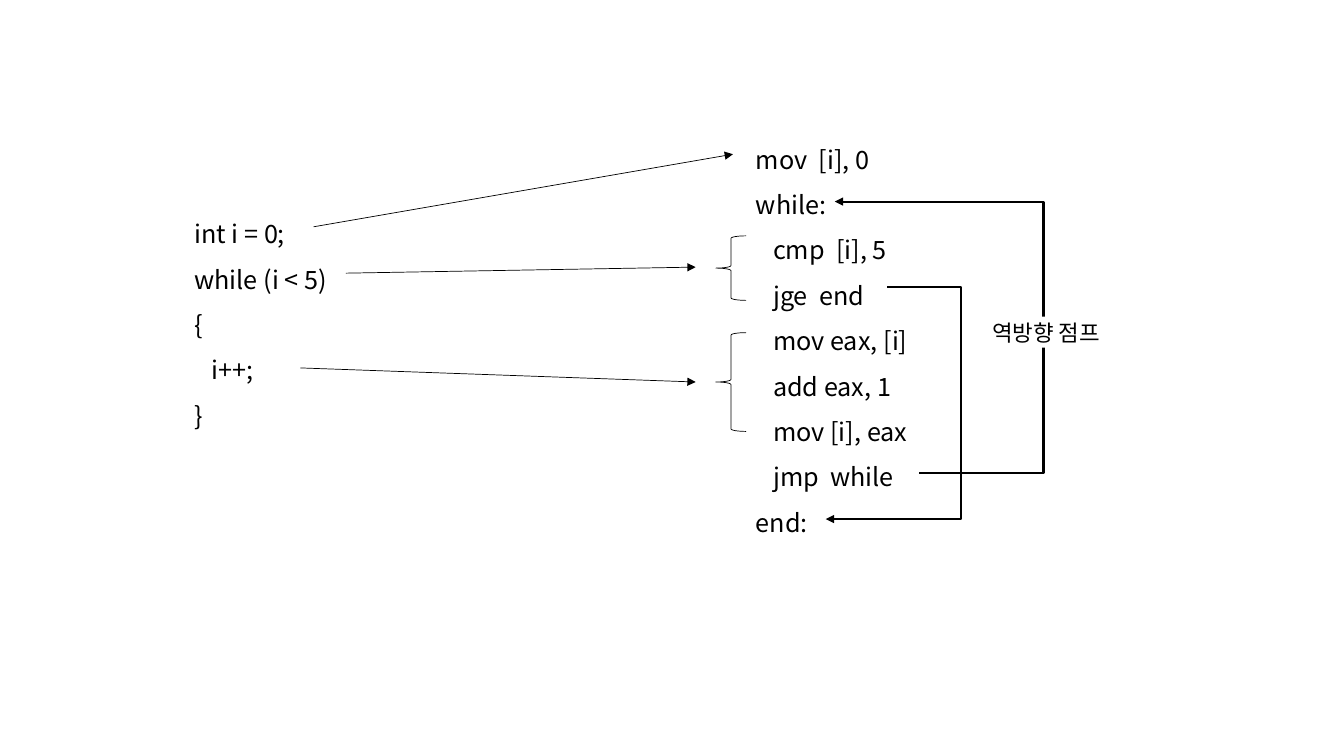
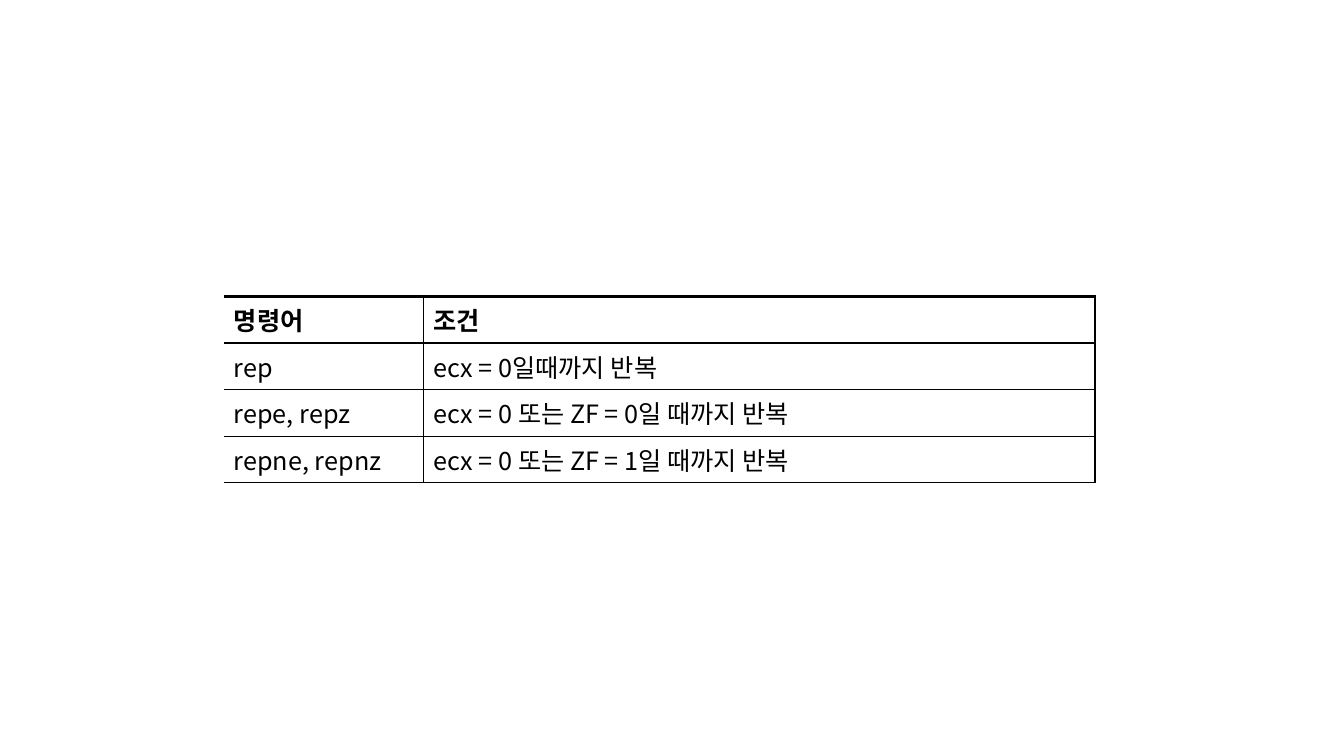
from lxml import etree
from pptx import Presentation
from pptx.dml.color import RGBColor
from pptx.enum.shapes import MSO_CONNECTOR, MSO_SHAPE
from pptx.enum.text import MSO_ANCHOR, PP_ALIGN
from pptx.oxml.ns import qn
from pptx.util import Inches, Pt

STRAIGHT, ELBOW = MSO_CONNECTOR.STRAIGHT, MSO_CONNECTOR.ELBOW
BRACE, BOX = MSO_SHAPE.LEFT_BRACE, MSO_SHAPE.RECTANGLE
LEFT, CENTER = PP_ALIGN.LEFT, PP_ALIGN.CENTER
MIDDLE = MSO_ANCHOR.MIDDLE

COLORS = {"ink": "000000", "paper": "FFFFFF"}
FONT = "Noto Sans CJK KR"
WIDTH, HEIGHT = Inches(13.33), Inches(7.5)
COLS, ROWS = 133.3, 75  # grid of the slide
THIN, JUMP, RULE, HEAVY = 0.5, 1.5, 1, 2.25  # line widths in points
CODE_INDENT = Inches(0.17)


def color(name):
    return RGBColor.from_string(COLORS[name])


def write(paragraph, text, size=18, bold=False, align=LEFT, spacing=None, indent=0):
    """Fill one paragraph with formatted text."""
    paragraph.alignment = align
    if spacing:
        paragraph.line_spacing = spacing
    if indent:
        paragraph._p.get_or_add_pPr().set("marL", str(indent))
    run = paragraph.add_run()
    run.text = text
    run.font.name, run.font.size, run.font.bold = FONT, Pt(size), bold
    run.font.color.rgb = color("ink")
    east_asian = etree.SubElement(run._r.get_or_add_rPr(), qn("a:ea"))
    east_asian.set("typeface", FONT)


class Deck:
    def __init__(self):
        self.prs = Presentation()
        self.prs.slide_width, self.prs.slide_height = WIDTH, HEIGHT
        self.slide = None

    def new_slide(self):
        self.slide = self.prs.slides.add_slide(self.prs.slide_layouts[6])
        background = self.slide.background.fill
        background.solid()
        background.fore_color.rgb = color("paper")

    def grid(self, *place):
        """Turn alternating columns and rows into lengths."""
        steps = (WIDTH / COLS, HEIGHT / ROWS)
        return [round(n * steps[i % 2]) for i, n in enumerate(place)]

    def code(self, place, lines):
        """Code listing; each line is (indent level, text)."""
        frame = self.slide.shapes.add_textbox(*self.grid(*place)).text_frame
        frame.word_wrap = True
        for i, (level, text) in enumerate(lines):
            paragraph = frame.add_paragraph() if i else frame.paragraphs[0]
            write(paragraph, text, spacing=1.5, indent=level * CODE_INDENT)

    def shape(self, kind, place):
        shape = self.slide.shapes.add_shape(kind, *self.grid(*place))
        shape.shadow.inherit = False
        return shape

    def brace(self, place):
        brace = self.shape(BRACE, place)
        brace.fill.background()
        brace.line.color.rgb = color("ink")
        brace.line.width = Pt(THIN)

    def label(self, place, text):
        label = self.shape(BOX, place)
        label.fill.solid()
        label.fill.fore_color.rgb = color("paper")
        label.line.fill.background()
        label.text_frame.vertical_anchor = MIDDLE
        label.text_frame.word_wrap = True
        write(label.text_frame.paragraphs[0], text, size=16, align=CENTER)

    def arrow(self, start, end, width=THIN, bend=None):
        """Arrow; with a bend column it runs by way of that column."""
        kind = STRAIGHT if bend is None else ELBOW
        arrow = self.slide.shapes.add_connector(kind, *self.grid(*start, *end))
        arrow.line.color.rgb = color("ink")
        arrow.line.width = Pt(width)
        properties = arrow._element.spPr
        head = etree.SubElement(arrow.line._get_or_add_ln(), qn("a:tailEnd"))
        head.set("type", "triangle")
        etree.SubElement(properties, qn("a:effectLst"))
        if bend is not None:
            share = (bend - start[0]) / (end[0] - start[0])
            guides = properties.find(qn("a:prstGeom")).get_or_add_avLst()
            guide = etree.SubElement(guides, qn("a:gd"))
            guide.set("name", "adj1")
            guide.set("fmla", f"val {round(share * 100000)}")

    def border(self, cell, **widths):
        """Set the cell's L, R, T and B borders; None hides one."""
        properties = cell._tc.get_or_add_tcPr()
        for i, side in enumerate("LRTB"):
            line = etree.Element(qn(f"a:ln{side}"))
            if widths[side] is None:
                etree.SubElement(line, qn("a:noFill"))
            else:
                line.set("w", str(Pt(widths[side])))
                fill = etree.SubElement(line, qn("a:solidFill"))
                etree.SubElement(fill, qn("a:srgbClr")).set("val", COLORS["ink"])
            properties.insert(i, line)

    def table(self, place, columns, rows):
        frame = self.slide.shapes.add_table(len(rows), len(columns), *self.grid(*place))
        table = frame.table
        table.first_row = table.horz_banding = False
        for column, width in zip(table.columns, columns):
            column.width = self.grid(width)[0]
        rules = [HEAVY, HEAVY] + [RULE] * (len(rows) - 1)
        for r, texts in enumerate(rows):
            for c, text in enumerate(texts):
                cell = table.cell(r, c)
                cell.fill.background()
                write(cell.text_frame.paragraphs[0], text, bold=r == 0)
                self.border(cell, L=RULE if c else None, R=RULE,
                            T=rules[r], B=rules[r + 1])


def loop_slide(deck):
    deck.new_slide()
    # Loop in C and in assembly
    deck.code((18.3, 19.7, 15.9, 23.1), [
        (0, "int i = 0;"), (0, "while (i < 5)"), (0, "{"), (1, "i++;"), (0, "}")])
    deck.code((74, 12.3, 18, 41.3), [
        (0, "mov  [i], 0"), (0, "while:"), (1, "cmp  [i], 5"), (1, "jge  end"),
        (1, "mov eax, [i]"), (1, "add eax, 1"), (1, "mov [i], eax"),
        (1, "jmp  while"), (0, "end:")])
    # Each statement points to its instructions
    for top, height in ((23.4, 6.4), (33, 9.8)):
        deck.brace((71, top, 3, height))
    for start, end in (((31.1, 22.5), (72.7, 15.3)),
                       ((34.3, 27.1), (69, 26.5)),
                       ((29.8, 36.5), (69, 37.9))):
        deck.arrow(start, end)
    # Jumps out of the loop and back to its start
    deck.arrow((88, 28.5), (81.9, 51.5), JUMP, bend=95.3)
    deck.arrow((91.2, 46.9), (82.8, 20), JUMP, bend=103.5)
    deck.label((96.8, 31.4, 13.9, 3.1), "역방향 점프")


def repeat_slide(deck):
    deck.new_slide()
    # Repeat prefixes and their conditions
    deck.table((22.2, 29.4, 86.4, 16.2), (19.8, 66.6), [
        ("명령어", "조건"),
        ("rep", "ecx = 0일때까지 반복"),
        ("repe, repz", "ecx = 0 또는 ZF = 0일 때까지 반복"),
        ("repne, repnz", "ecx = 0 또는 ZF = 1일 때까지 반복")])


def main():
    deck = Deck()
    loop_slide(deck)
    repeat_slide(deck)
    deck.prs.save("out.pptx")


if __name__ == "__main__":
    main()
